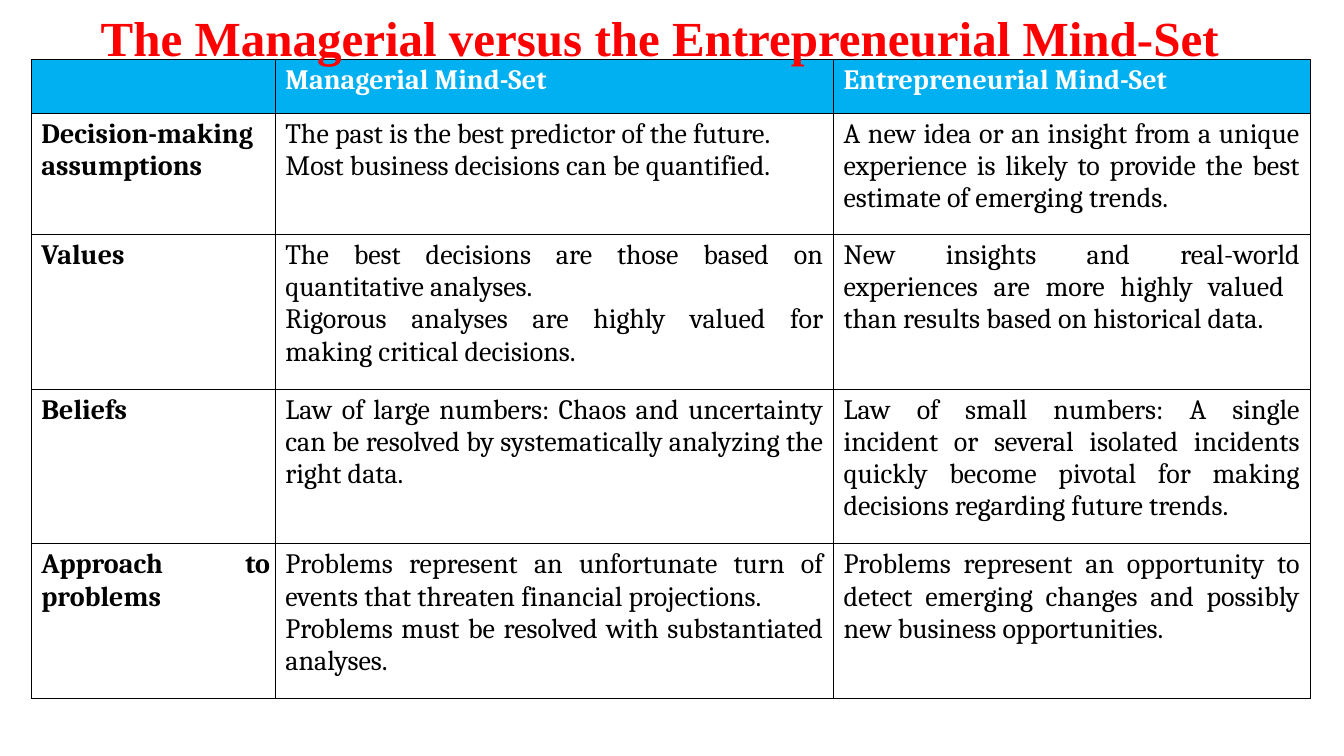
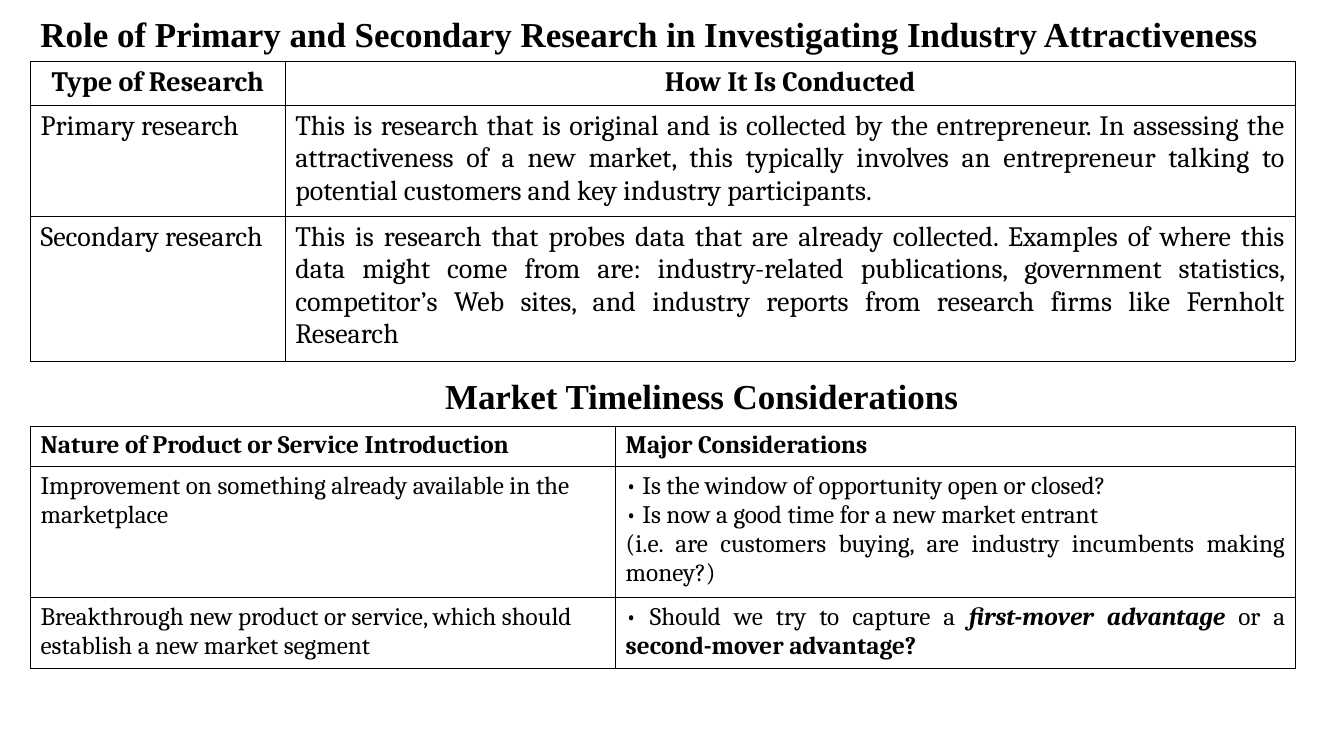
from lxml import etree
from pptx import Presentation, util as u
from pptx.dml.color import RGBColor
from pptx.enum import text as t
from pptx.oxml import ns
from pptx.util import Cm

BLACK = RGBColor(0x00, 0x00, 0x00)
WHITE = RGBColor(0xFF, 0xFF, 0xFF)
RED = RGBColor(0xFF, 0x00, 0x00)
SKY = RGBColor(0x00, 0xB0, 0xF0)
TITLE_FONT, TABLE_FONT = "Times New Roman", "Cambria"
LEFT, CENTER, JUSTIFY = t.PP_ALIGN.LEFT, t.PP_ALIGN.CENTER, t.PP_ALIGN.JUSTIFY


def write_text(frame, content, font=TITLE_FONT, size=25, color=BLACK,
               bold=True, align=LEFT, spacing=None):
    """Each line is a paragraph: a string, or a list of (text, bold, italic) runs."""
    lines = content.split("\n") if isinstance(content, str) else content
    for number, line in enumerate(lines):
        paragraph = frame.add_paragraph() if number else frame.paragraphs[0]
        paragraph.alignment = align
        paragraph.line_spacing = spacing
        runs = [(line, bold, False)] if isinstance(line, str) else line
        for words, run_bold, run_italic in runs:
            run = paragraph.add_run()
            run.text = words
            run.font.name, run.font.size = font, u.Pt(size)
            run.font.bold, run.font.italic = run_bold, run_italic
            run.font.color.rgb = color


def add_grid(slide, left, top, widths, heights, rows, size=20, header_fill=None,
             header_color=BLACK, header_align=JUSTIFY, bold_labels=False):
    table = slide.shapes.add_table(len(heights), len(widths), Cm(left), Cm(top),
                                   Cm(sum(widths)), Cm(sum(heights))).table
    table.first_row = table.horz_banding = False
    for column, width in zip(table.columns, widths):
        column.width = Cm(width)
    for row, height in zip(table.rows, heights):
        row.height = Cm(height)
    for r, row in enumerate(rows):
        for c, content in enumerate(row):
            cell = table.cell(r, c)
            header, label = r == 0, bold_labels and c == 0
            if header and header_fill is not None:
                cell.fill.solid()
                cell.fill.fore_color.rgb = header_fill
            else:
                cell.fill.background()
            if label:
                cell.margin_right = Cm(0.13)
            write_text(cell.text_frame, content, font=TABLE_FONT, size=size,
                       color=header_color if header else BLACK,
                       bold=header or label,
                       align=header_align if header else JUSTIFY)
            # Thin black borders, which must come before the fill
            properties = cell._tc.get_or_add_tcPr()
            for position, side in enumerate(("lnL", "lnR", "lnT", "lnB")):
                border = etree.Element(ns.qn("a:" + side), w=str(u.Pt(0.45)))
                solid = etree.SubElement(border, ns.qn("a:solidFill"))
                etree.SubElement(solid, ns.qn("a:srgbClr"), val=str(BLACK))
                properties.insert(position, border)


presentation = Presentation()
presentation.slide_width, presentation.slide_height = Cm(33.88), Cm(19.05)
blank = presentation.slide_layouts[6]
mindset_slide = presentation.slides.add_slide(blank)
research_slide = presentation.slides.add_slide(blank)

# Mind-set table
add_grid(mindset_slide, 0.79, 1.5, [6.15, 14.07, 12.01],
         [1.35, 3.05, 3.9, 3.9, 3.9], [
    ["", "Managerial Mind-Set", "Entrepreneurial Mind-Set"],
    ["Decision-making\nassumptions",
     "The past is the best predictor of the future.\n"
     "Most business decisions can be quantified.",
     "A new idea or an insight from a unique experience is likely to provide "
     "the best estimate of emerging trends."],
    ["Values",
     "The best decisions are those based on quantitative analyses.\n"
     "Rigorous analyses are highly valued for making critical decisions.",
     "New insights and real-world experiences are more highly valued  than "
     "results based on historical data."],
    ["Beliefs",
     "Law of large numbers: Chaos and uncertainty can be resolved by "
     "systematically analyzing the right data.",
     "Law of small numbers: A single incident or several isolated incidents "
     "quickly become pivotal for making decisions regarding future trends."],
    ["Approach to problems",
     "Problems represent an unfortunate turn of events that threaten "
     "financial projections.\n"
     "Problems must be resolved with substantiated analyses.",
     "Problems represent an opportunity to detect emerging changes and "
     "possibly new business opportunities."],
], header_fill=SKY, header_color=WHITE, bold_labels=True)

# Research table
add_grid(research_slide, 0.77, 1.55, [6.42, 25.46], [1.1, 2.8, 3.64], [
    ["Type of Research", "How It Is Conducted"],
    ["Primary research",
     "This is research that is original and is collected by the entrepreneur. "
     "In assessing the attractiveness of a new market, this typically involves "
     "an entrepreneur talking to potential customers and key industry "
     "participants."],
    ["Secondary research",
     "This is research that probes data that are already collected. Examples "
     "of where this data might come from are: industry-related publications, "
     "government statistics, competitor’s Web sites, and industry reports from "
     "research firms like Fernholt Research"],
], header_align=CENTER)

# Market timeliness table
add_grid(research_slide, 0.77, 10.74, [14.75, 17.13], [1.02, 3.3, 1.78], [
    ["Nature of Product or Service Introduction", "Major Considerations"],
    ["Improvement on something already available in the\nmarketplace",
     "• Is the window of opportunity open or closed?\n"
     "• Is now a good time for a new market entrant\n"
     "(i.e. are customers buying, are industry incumbents making money?)"],
    ["Breakthrough new product or service, which should\n"
     "establish a new market segment",
     [[("• Should we try to capture a ", False, False),
       ("first-mover advantage ", True, True),
       ("or a ", False, False),
       ("second-mover advantage?", True, False)]]],
], size=18)

# Titles
for slide, (left, top, width, height), title, style in [
    (mindset_slide, (2.29, 0.38, 29.21, 1.3),
     "The Managerial versus the Entrepreneurial Mind-Set",
     dict(size=35, color=RED, spacing=0.9)),
    (research_slide, (0.77, 0.4, 31.88, 1),
     "Role of Primary and Secondary Research in Investigating Industry "
     "Attractiveness", dict(spacing=0.9)),
    (research_slide, (10.97, 9.3, 15.77, 1.32),
     "Market Timeliness Considerations", {}),
]:
    shape = slide.shapes.add_textbox(Cm(left), Cm(top), Cm(width), Cm(height))
    frame = shape.text_frame
    frame.word_wrap = True
    frame.vertical_anchor = t.MSO_ANCHOR.MIDDLE
    frame.margin_top = frame.margin_bottom = 0
    write_text(frame, title, **style)

presentation.save("out.pptx")
